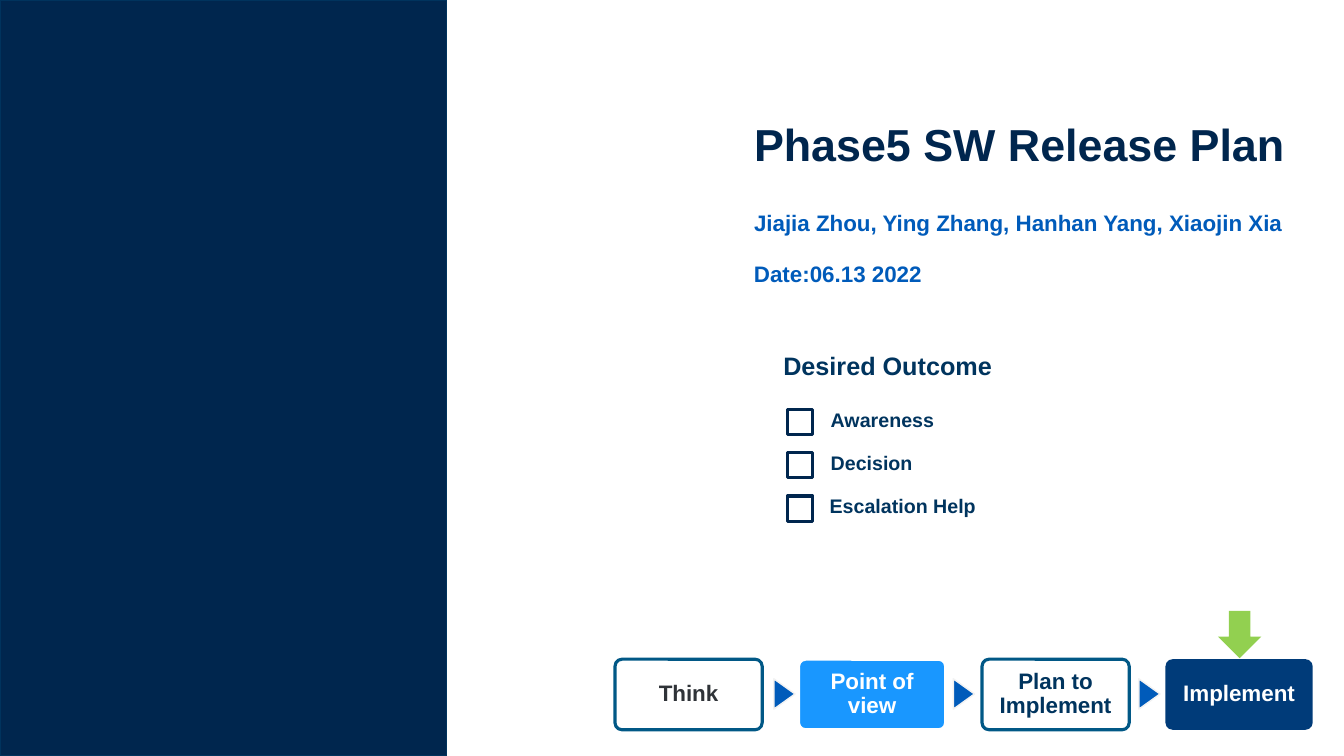
"""Build the cover slide of the software release plan."""
from dataclasses import dataclass
from typing import Optional

import pptx
import pptx.dml.color
import pptx.enum.shapes
import pptx.enum.text
import pptx.util

Inches = pptx.util.Inches
Shapes = pptx.enum.shapes.MSO_SHAPE


@dataclass(frozen=True)
class Theme:
    font: str = "Arial"
    navy: str = "00264E"
    panel_edge: str = "00335D"
    heading: str = "00345E"
    blue: str = "005BBA"
    bright: str = "1997FF"
    deep: str = "003B79"
    border: str = "015886"
    charcoal: str = "2F3338"
    pale: str = "F2F2F2"
    white: str = "FFFFFF"
    green: str = "92D050"
    title_size: int = 32
    heading_size: int = 18
    body_size: int = 16
    label_size: int = 14
    thin: float = 1
    thick: float = 2.25


THEME = Theme()


@dataclass(frozen=True)
class Box:
    left: float
    top: float
    width: float
    height: float


@dataclass(frozen=True)
class Label:
    text: str
    box: Box
    size: int
    color: str


@dataclass(frozen=True)
class Step:
    text: str
    color: str
    fill: Optional[str]
    line: Optional[str]


LABELS = [
    Label("Phase5 SW Release Plan", Box(7.38, 0.83, 6.45, 1.18), THEME.title_size, THEME.navy),
    Label("Jiajia Zhou, Ying Zhang, Hanhan Yang, Xiaojin Xia", Box(7.38, 1.89, 5.79, 0.64),
          THEME.body_size, THEME.blue),
    Label("Date:06.13 2022", Box(7.38, 2.39, 3.7, 0.64), THEME.body_size, THEME.blue),
    Label("Desired Outcome", Box(7.67, 3.31, 3.42, 0.64), THEME.heading_size, THEME.heading),
]
OUTCOMES = [("Awareness", 8.14), ("Decision", 8.14), ("Escalation Help", 8.13)]
OUTCOME_TOP, OUTCOME_PITCH = 4.06, 0.43
STEPS = [
    Step("Think", THEME.charcoal, None, THEME.border),
    Step("Point of view", THEME.white, THEME.bright, THEME.white),
    Step("Plan to Implement", THEME.heading, None, THEME.border),
    Step("Implement", THEME.white, THEME.deep, None),
]
STEP_LEFT, STEP_PITCH = 6.1, 1.82
POINTER_LEFTS = [7.63, 9.41, 11.25]


def rgb(color: str) -> pptx.dml.color.RGBColor:
    """Return the colour object of a hex string."""
    return pptx.dml.color.RGBColor.from_string(color)


def place(box: Box) -> tuple:
    """Return the box as four lengths."""
    return Inches(box.left), Inches(box.top), Inches(box.width), Inches(box.height)


def write(shape, text: str, size: int, color: str):
    """Write one bold run in a shape and return its paragraph."""
    frame = shape.text_frame
    frame.word_wrap = True
    frame.vertical_anchor = pptx.enum.text.MSO_ANCHOR.MIDDLE
    paragraph = frame.paragraphs[0]
    run = paragraph.add_run()
    run.text = text
    run.font.name = THEME.font
    run.font.size = pptx.util.Pt(size)
    run.font.bold = True
    run.font.color.rgb = rgb(color)
    return paragraph


def add_label(slide, label: Label) -> None:
    """Add a text box."""
    write(slide.shapes.add_textbox(*place(label.box)), label.text, label.size, label.color)


def add_figure(slide, kind, box: Box, fill: Optional[str] = None,
               line: Optional[str] = None, weight: float = THEME.thick):
    """Add a preset shape with the given fill and outline."""
    shape = slide.shapes.add_shape(kind, *place(box))
    shape.shadow.inherit = False
    if fill:
        shape.fill.solid()
        shape.fill.fore_color.rgb = rgb(fill)
    else:
        shape.fill.background()
    if line:
        shape.line.color.rgb = rgb(line)
        shape.line.width = pptx.util.Pt(weight)
    else:
        shape.line.fill.background()
    return shape


def add_step(slide, index: int, step: Step) -> None:
    """Add one rounded box of the process."""
    box = Box(STEP_LEFT + index * STEP_PITCH, 6.54, 1.46, 0.7)
    shape = add_figure(slide, Shapes.ROUNDED_RECTANGLE, box, step.fill, step.line)
    shape.adjustments[0] = 0.1
    frame = shape.text_frame
    frame.margin_left = frame.margin_right = Inches(0.09)
    frame.margin_top = frame.margin_bottom = Inches(0.09)
    paragraph = write(shape, step.text, THEME.body_size, step.color)
    paragraph.alignment = pptx.enum.text.PP_ALIGN.CENTER
    paragraph.line_spacing = 0.9


def add_outcome(slide, index: int, text: str, left: float) -> None:
    """Add one checkbox and its label."""
    top = OUTCOME_TOP + index * OUTCOME_PITCH
    add_figure(slide, Shapes.RECTANGLE, Box(7.81, top, 0.25, 0.25), line=THEME.navy)
    add_label(slide, Label(text, Box(left, top - 0.22, 2.42, 0.64),
                           THEME.label_size, THEME.heading))


def main() -> None:
    """Build and save the presentation."""
    presentation = pptx.Presentation()
    presentation.slide_width = Inches(13.33)
    presentation.slide_height = Inches(7.5)
    slide = presentation.slides.add_slide(presentation.slide_layouts[6])
    add_figure(slide, Shapes.RECTANGLE, Box(0, 0, 4.43, 7.5),
               THEME.navy, THEME.panel_edge, THEME.thin)
    for label in LABELS:
        add_label(slide, label)
    for index, (text, left) in enumerate(OUTCOMES):
        add_outcome(slide, index, text, left)
    for index, step in enumerate(STEPS):
        add_step(slide, index, step)
    for left in POINTER_LEFTS:
        pointer = add_figure(slide, Shapes.ISOSCELES_TRIANGLE, Box(left, 6.78, 0.3, 0.21),
                             THEME.blue, THEME.pale, THEME.thin)
        pointer.rotation = 90
    add_figure(slide, Shapes.DOWN_ARROW, Box(12.08, 6.06, 0.43, 0.47), THEME.green)
    presentation.save("out.pptx")


if __name__ == "__main__":
    main()
